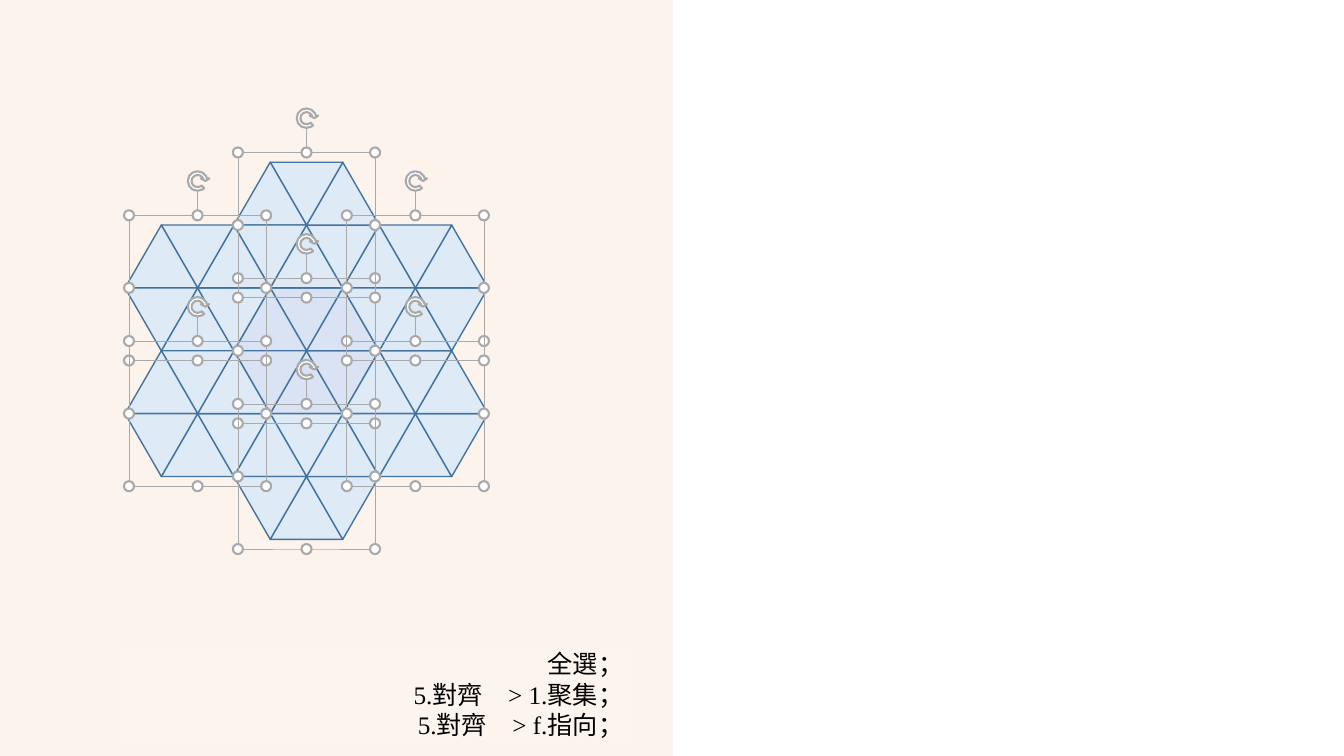
from math import cos, radians, sin, sqrt

from lxml import etree
from pptx import Presentation
from pptx.dml.color import RGBColor
from pptx.enum.shapes import MSO_CONNECTOR as Line, MSO_SHAPE as Shape
from pptx.enum.text import MSO_ANCHOR as Anchor, PP_ALIGN as Align
from pptx.oxml.ns import qn
from pptx.util import Inches, Pt

# Colours
ORANGE = RGBColor(0xF4, 0xB1, 0x83)
PEACH = RGBColor(0xFB, 0xE5, 0xD6)
CREAM = RGBColor(0xFD, 0xF4, 0xED)
HUB_BLUE = RGBColor(0xDA, 0xE3, 0xF3)
PALE_BLUE = RGBColor(0xDE, 0xEB, 0xF7)
EDGE_BLUE = RGBColor(0x43, 0x73, 0x9E)
GREY = RGBColor(0xA9, 0xA9, 0xA9)
WHITE = RGBColor(0xFF, 0xFF, 0xFF)
BLACK = RGBColor(0, 0, 0)

# Geometry in inches
SIDE = 0.72
HEIGHT = SIDE * sqrt(3) / 2
CENTRE_X, CENTRE_Y = 3.04, 3.48
FRAME_W, FRAME_H = 1.36, 1.44
HANDLE = 0.1
# Hexagon places, in steps of 1.5 sides across and one triangle height down
CELLS = [(0, 0), (1, 1), (1, -1), (0, -2), (-1, -1), (-1, 1), (0, 2)]
HANDLES = [(-1, -1), (1, -1), (-1, 1), (1, 1), (0, -1), (0, 1), (-1, 0), (1, 0)]
ROTATE_ARROW = [0.151, 11.194, 204.552, 28.68, 0.173]


class Board:
    text_style = {"name": "Times New Roman", "size": Pt(18)}

    def __init__(self, slide):
        self.s = slide

    def set_alpha(self, fill, percent):
        clr = fill._xPr.find(".//" + qn("a:srgbClr"))
        etree.SubElement(clr, qn("a:alpha")).set("val", str(percent * 1000))

    def shape(self, parent, kind, cx, cy, w, h, fill=None, line=None, width=1):
        """Add a preset shape around its centre."""
        sp = parent.shapes.add_shape(kind, Inches(cx - w / 2), Inches(cy - h / 2),
                                     Inches(w), Inches(h))
        sp.shadow.inherit = False
        if fill is None:
            sp.fill.background()
        else:
            sp.fill.solid()
            sp.fill.fore_color.rgb = fill
        if line is None:
            sp.line.fill.background()
        else:
            sp.line.color.rgb = line
            sp.line.width = Pt(width)
        return sp

    def line(self, parent, x1, y1, x2, y2, color, width):
        ln = parent.shapes.add_connector(Line.STRAIGHT, Inches(x1), Inches(y1),
                                         Inches(x2), Inches(y2))
        ln.line.color.rgb = color
        ln.line.width = Pt(width)
        etree.SubElement(ln._element.spPr, qn("a:effectLst"))
        return ln

    def hexagon(self, cx, cy, fill):
        """Six triangles whose tips meet in the centre."""
        group = self.s.shapes.add_group_shape()
        for angle in (0, 300, 240, 180, 120, 60):
            a = radians(angle)
            sp = self.shape(group, Shape.ISOSCELES_TRIANGLE,
                            cx - HEIGHT / 2 * sin(a), cy + HEIGHT / 2 * cos(a),
                            SIDE, HEIGHT, fill, EDGE_BLUE)
            sp.rotation = angle

    def selection(self, cx, cy):
        """Selection frame with eight handles and a rotation handle."""
        group = self.s.shapes.add_group_shape()
        self.shape(group, Shape.RECTANGLE, cx, cy, FRAME_W, FRAME_H, None, GREY, 0.5)
        for dx, dy in HANDLES:
            self.shape(group, Shape.OVAL, cx + dx * FRAME_W / 2, cy + dy * FRAME_H / 2,
                       HANDLE, HANDLE, WHITE, GREY, 1.5)
        stem = cy - FRAME_H / 2 - HANDLE / 2
        self.line(group, cx, stem, cx, stem - 0.24, GREY, 0.5)
        arrow = self.shape(group, Shape.CIRCULAR_ARROW, cx, cy - 1.06,
                           0.24, 0.24, WHITE, GREY, 1.5)
        for i, value in enumerate(ROTATE_ARROW):
            arrow.adjustments[i] = value

    def caption(self, cx, cy, w, h, lines):
        tf = self.shape(self.s, Shape.RECTANGLE, cx, cy, w, h, CREAM).text_frame
        tf.word_wrap = True
        tf.vertical_anchor = Anchor.MIDDLE
        for i, text in enumerate(lines):
            p = tf.paragraphs[0] if i == 0 else tf.add_paragraph()
            p.alignment = Align.RIGHT
            r = p.add_run()
            r.text = text
            r.font.color.rgb = BLACK
            for name, value in self.text_style.items():
                setattr(r.font, name, value)


def main():
    prs = Presentation()
    prs.slide_width, prs.slide_height = Inches(13.33), Inches(7.5)
    s = prs.slides.add_slide(prs.slide_layouts[6])
    board = Board(s)

    # Tinted left half
    panel = board.shape(s, Shape.RECTANGLE, 3.335, 3.75, 6.67, 7.5, ORANGE)
    board.set_alpha(panel.fill, 14)
    divider = board.line(s, 6.67, 7.5, 6.67, 0, PEACH, 0.25)
    board.set_alpha(divider.line.fill, 50)

    # Honeycomb
    centres = [(CENTRE_X + i * 1.5 * SIDE, CENTRE_Y + j * HEIGHT) for i, j in CELLS]
    for n, (cx, cy) in enumerate(centres):
        board.hexagon(cx, cy, PALE_BLUE if n else HUB_BLUE)

    # Instructions
    board.caption(3.73, 6.885, 5.1, 0.93,
                  ["全選；", "5.對齊　> 1.聚集；", "5.對齊　> f.指向；"])

    # Selection frames
    for cx, cy in centres:
        board.selection(cx, cy)

    prs.save("out.pptx")


if __name__ == "__main__":
    main()
